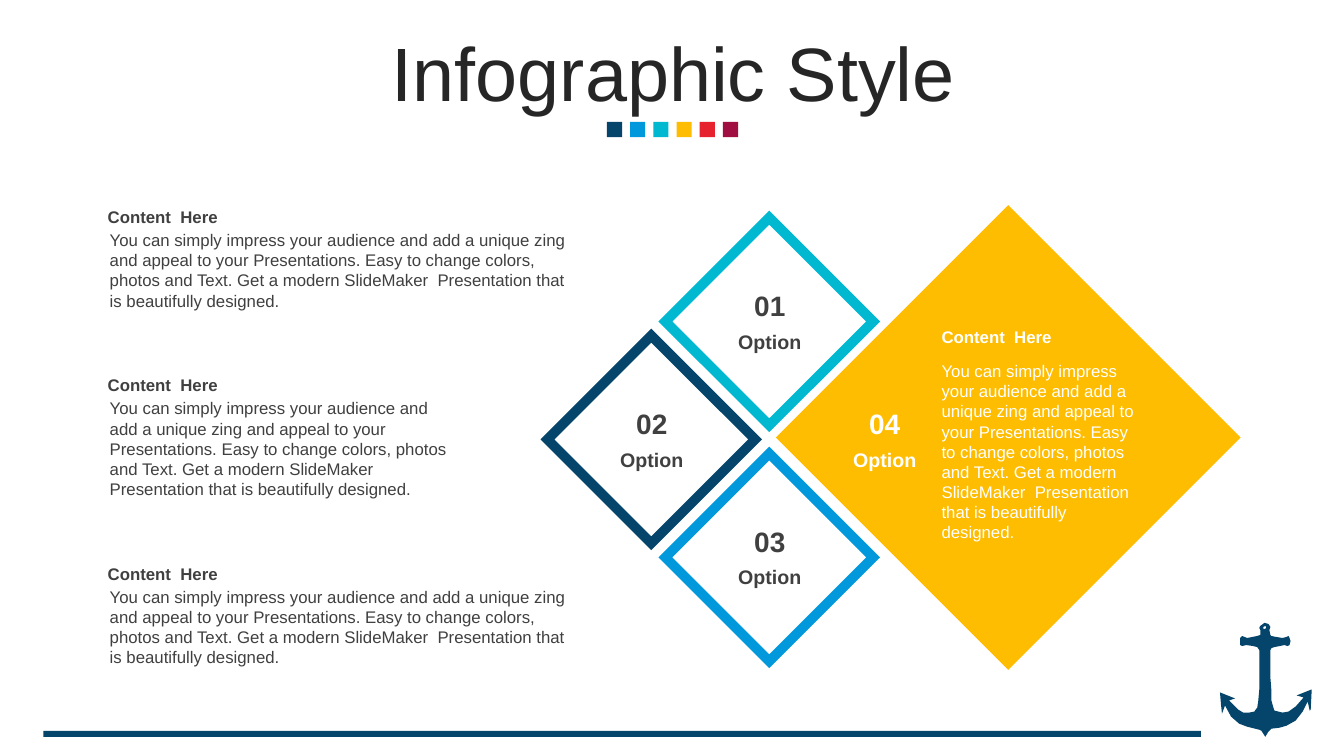
from dataclasses import dataclass

from lxml import etree
from pptx import Presentation
from pptx.dml.color import RGBColor
from pptx.enum import shapes, text
from pptx.oxml import ns
from pptx.util import Inches, Pt


@dataclass(frozen=True)
class Theme:
    font: str = "Arial"
    navy: str = "05456B"
    blue: str = "0199DC"
    cyan: str = "00B8D0"
    yellow: str = "FEBD00"
    red: str = "E7222F"
    wine: str = "A10E42"
    white: str = "FFFFFF"
    ink: str = "262626"
    gray: str = "404040"
    title_size: int = 54
    number_size: int = 20
    option_size: int = 14
    body_size: int = 12
    outline: int = 7


THEME = Theme()
TITLE = "Infographic Style"
HEADING = "Content  Here"
OPTION = "Option"
BODY = (
    "You can simply impress your audience and add a unique zing and appeal to your "
    "Presentations. Easy to change colors, photos and Text. Get a modern SlideMaker  "
    "Presentation that is beautifully designed."
)
SWATCHES = [THEME.navy, THEME.blue, THEME.cyan, THEME.yellow, THEME.red, THEME.wine]
SECTIONS = [(2.0, 4.88, 0.91), (3.67, 3.57, 1.11), (5.54, 4.88, 0.91)]
OUTLINED_OPTIONS = [
    ("02", -1, 0, THEME.navy),
    ("01", 0, -1, THEME.cyan),
    ("03", 0, 1, THEME.blue),
]
HUB_X, HUB_Y, STEP = 7.63, 4.36, 1.17
SMALL_DIAMOND, LARGE_DIAMOND = 2.06, 4.61

ANCHOR_OUTLINE = [
    (12.54, 6.18), (12.58, 6.19), (12.6, 6.22), (12.59, 6.25), (12.6, 6.3),
    (12.61, 6.31), (12.66, 6.32), (12.72, 6.33), (12.76, 6.32), (12.78, 6.31),
    (12.79, 6.33), (12.8, 6.36), (12.79, 6.4), (12.77, 6.41), (12.74, 6.4),
    (12.69, 6.41), (12.64, 6.42), (12.61, 6.43), (12.6, 6.45), (12.6, 6.72),
    (12.61, 6.85), (12.61, 6.95), (12.63, 7.02), (12.64, 7.05), (12.72, 7.07),
    (12.78, 7.06), (12.85, 7.01), (12.93, 6.92), (12.86, 6.9), (13.01, 6.84),
    (13.0, 7.04), (12.99, 7.05), (12.97, 6.96), (12.92, 7.06), (12.85, 7.15),
    (12.76, 7.2), (12.69, 7.22), (12.61, 7.23), (12.58, 7.26), (12.55, 7.31),
    (12.53, 7.28), (12.51, 7.25), (12.49, 7.24), (12.37, 7.21), (12.29, 7.18),
    (12.21, 7.11), (12.15, 7.0), (12.12, 7.08), (12.11, 6.99), (12.1, 6.87),
    (12.25, 6.93), (12.19, 6.95), (12.28, 7.04), (12.33, 7.07), (12.39, 7.07),
    (12.44, 7.06), (12.47, 7.02), (12.48, 6.95), (12.49, 6.84), (12.49, 6.45),
    (12.47, 6.42), (12.43, 6.41), (12.36, 6.4), (12.32, 6.41), (12.3, 6.4),
    (12.3, 6.33), (12.32, 6.31), (12.37, 6.33), (12.47, 6.31), (12.5, 6.3),
    (12.5, 6.25), (12.49, 6.23), (12.5, 6.21),
]
ANCHOR_HOLE = [(12.55, 6.21), (12.53, 6.22), (12.53, 6.24), (12.55, 6.24), (12.56, 6.22)]


def color(value):
    return RGBColor.from_string(value)


def paint(shape, fill, line=None):
    shape.shadow.inherit = False
    shape.fill.solid()
    shape.fill.fore_color.rgb = color(fill)
    if line is None:
        shape.line.fill.background()
        return
    shape.line.color.rgb = color(line)
    shape.line.width = Pt(THEME.outline)
    etree.SubElement(shape.line._ln, ns.qn("a:miter"), lim="800000")


def add_shape(page, kind, left, top, width, height, fill, line=None):
    shape = page.shapes.add_shape(
        kind, Inches(left), Inches(top), Inches(width), Inches(height)
    )
    paint(shape, fill, line)


def add_diamond(page, center_x, center_y, size, fill, line=None):
    add_shape(page, shapes.MSO_SHAPE.DIAMOND, center_x - size / 2,
              center_y - size / 2, size, size, fill, line)


def write(box, wording, size, ink, bold=False, align=text.PP_ALIGN.LEFT,
          anchor=text.MSO_ANCHOR.TOP):
    frame = box.text_frame
    for name, value in {"word_wrap": True, "vertical_anchor": anchor}.items():
        setattr(frame, name, value)
    para = frame.paragraphs[0]
    para.alignment = align
    span = para.add_run()
    span.text = wording
    for name, value in {"name": THEME.font, "size": Pt(size), "bold": bold}.items():
        setattr(span.font, name, value)
    span.font.color.rgb = color(ink)
    return para


def add_text(page, left, top, width, height, *wording, **layout):
    box = page.shapes.add_textbox(
        Inches(left), Inches(top), Inches(width), Inches(height)
    )
    write(box, *wording, **layout)


def add_option(page, number, center_x, ink):
    center_y = number[1]
    centered = {"bold": True, "align": text.PP_ALIGN.CENTER}
    add_text(page, center_x - 0.59, center_y + 0.03, 1.19, 0.34,
             OPTION, THEME.option_size, ink, **centered)
    add_text(page, center_x - 0.38, center_y - 0.38, 0.77, 0.44,
             number[0], THEME.number_size, ink, anchor=text.MSO_ANCHOR.MIDDLE, **centered)


def add_anchor(page):
    outline, hole = (
        [(Inches(x), Inches(y)) for x, y in points]
        for points in (ANCHOR_OUTLINE, ANCHOR_HOLE)
    )
    builder = page.shapes.build_freeform(*outline[0])
    builder.add_line_segments(outline[1:], close=True)
    builder.move_to(*hole[0])
    builder.add_line_segments(hole[1:], close=True)
    paint(builder.convert_to_shape(), THEME.navy)


def add_title(page):
    title = page.shapes.title
    bounds = {"left": 0.35, "top": 0.37, "width": 12.66, "height": 0.79}
    for name, value in bounds.items():
        setattr(title, name, Inches(value))
    para = write(title, TITLE, THEME.title_size, THEME.ink,
                 align=text.PP_ALIGN.CENTER, anchor=text.MSO_ANCHOR.MIDDLE)
    para.line_spacing = 0.9


def main():
    deck = Presentation()
    deck.slide_width, deck.slide_height = Inches(13.33), Inches(7.5)
    page = deck.slides.add_slide(deck.slide_layouts[5])
    square = shapes.MSO_SHAPE.RECTANGLE

    add_title(page)
    add_shape(page, square, 0.43, 7.25, 11.48, 0.06, THEME.navy)
    add_anchor(page)
    for index, fill in enumerate(SWATCHES):
        add_shape(page, square, 6.02 + 0.23 * index, 1.21, 0.15, 0.15, fill)

    for number, column, row, line in OUTLINED_OPTIONS:
        center_x, center_y = HUB_X + STEP * column, HUB_Y + STEP * row
        add_diamond(page, center_x, center_y, SMALL_DIAMOND, THEME.white, line)
        add_option(page, (number, center_y), center_x, THEME.gray)

    add_diamond(page, 10.0, 4.34, LARGE_DIAMOND, THEME.yellow)
    add_option(page, ("04", HUB_Y), 8.77, THEME.white)
    add_text(page, 9.24, 3.19, 2.8, 0.3, HEADING, THEME.body_size, THEME.white, bold=True)
    add_text(page, 9.24, 3.53, 2.11, 1.92, BODY, THEME.body_size, THEME.white)

    for top, width, body_height in SECTIONS:
        add_text(page, 0.97, top, width, 0.3, HEADING, THEME.body_size, THEME.gray,
                 bold=True, anchor=text.MSO_ANCHOR.MIDDLE)
        add_text(page, 0.99, top + 0.23, width - 0.01, body_height,
                 BODY, THEME.body_size, THEME.gray)

    deck.save("out.pptx")


if __name__ == "__main__":
    main()
